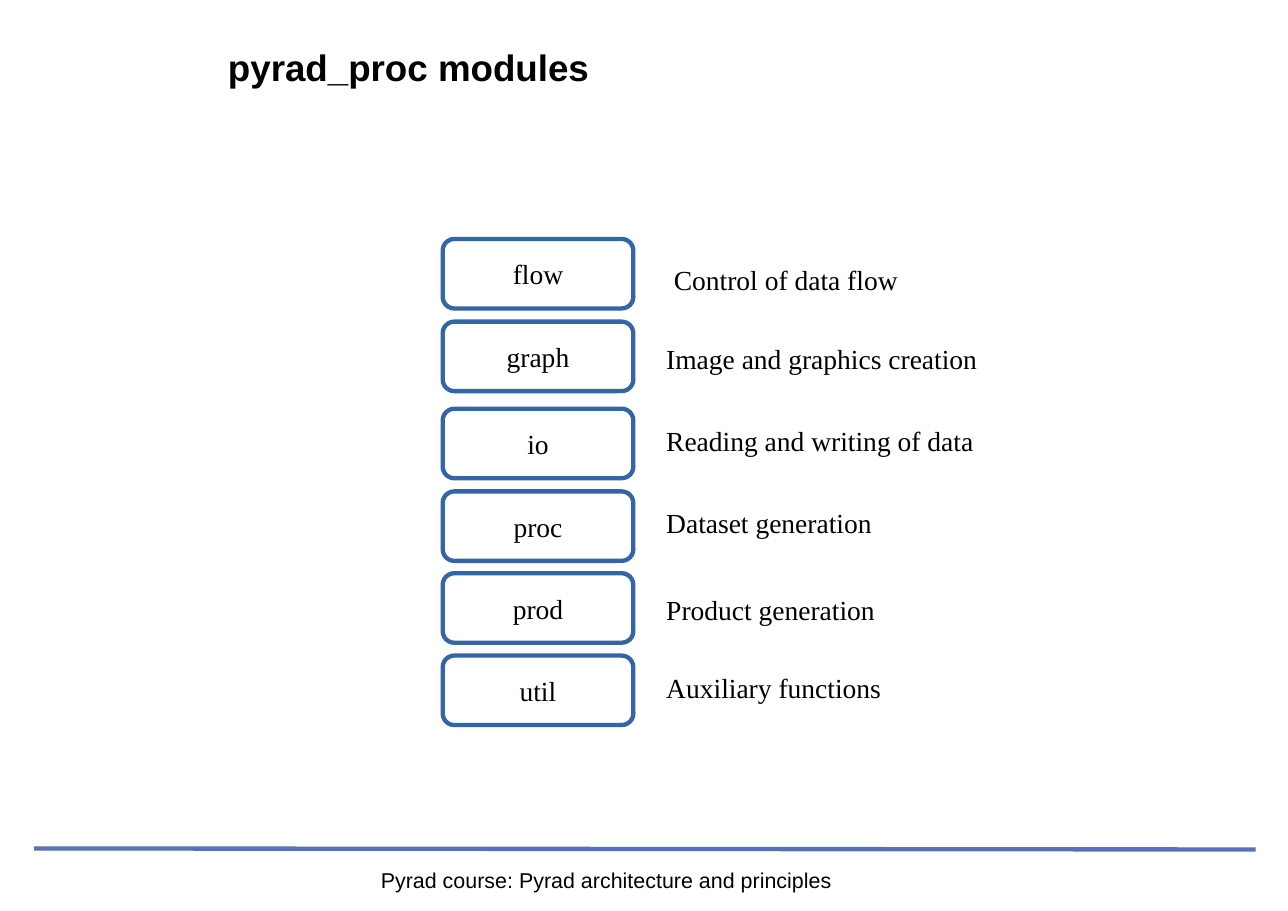
from typing import NamedTuple

from lxml.etree import SubElement
from pptx import Presentation
from pptx.dml.color import RGBColor
from pptx.enum.shapes import MSO_CONNECTOR as Connector, MSO_SHAPE as Preset
from pptx.enum.text import MSO_ANCHOR as Anchor, MSO_AUTO_SIZE as AutoSize, PP_ALIGN as Align
from pptx.oxml.ns import qn
from pptx.slide import Slide
from pptx.text.text import TextFrame
from pptx.util import Pt

COLOURS = {"text": "000000", "paper": "FFFFFF", "border": "3465A4", "rule": "5770B6"}
SERIF, SANS = "Times New Roman", "Arial"
BOX_LEFT, BOX_WIDTH, BOX_HEIGHT = 289.4, 124.6, 45.4
LABEL_HEIGHT, LINE_WIDTH = 27.4, 2.83


class Module(NamedTuple):
    """A module box and the description beside it, in points."""
    name: str
    top: float
    description: str
    label_left: float
    label_top: float
    label_width: float


MODULES = [
    Module("flow", 156.2, "Control of data flow", 433.4, 168.5, 161.3),
    Module("graph", 210.2, "Image and graphics creation", 428.4, 219.6, 218.2),
    Module("io", 267.1, "Reading and writing of data", 428.4, 273.6, 216),
    Module("proc", 321.1, "Dataset generation", 428.4, 326.9, 149),
    Module("prod", 374.6, "Product generation", 428.4, 383.8, 151.2),
    Module("util", 428.4, "Auxiliary functions", 428.4, 434.9, 154.8),
]


def colour(name: str) -> RGBColor:
    """Look up a named colour."""
    return RGBColor.from_string(COLOURS[name])


def write(frame: TextFrame, text: str, font: str, size: float, align: Align,
          bold: bool = False) -> None:
    """Fill a text frame with one formatted paragraph."""
    frame.text = text
    para = frame.paragraphs[0]
    para.alignment = align
    for span in para.runs:
        span.font.name, span.font.size, span.font.bold = font, Pt(size), bold
        span.font.color.rgb = colour("text")


def clear_margins(frame: TextFrame) -> None:
    """Remove the inner margins of a text frame."""
    frame.margin_left = frame.margin_right = frame.margin_top = frame.margin_bottom = 0


def draw_rule(page: Slide) -> None:
    """Draw the line above the footer."""
    rule = page.shapes.add_connector(
        Connector.STRAIGHT, Pt(22.3), Pt(554.4), Pt(820.8), Pt(555.1))
    rule.line.color.rgb = colour("rule")
    rule.line.width = Pt(LINE_WIDTH)
    SubElement(rule._element.spPr, qn("a:effectLst"))


def draw_title(page: Slide) -> None:
    """Place and format the title."""
    title = page.shapes.title
    title.left, title.top, title.width, title.height = Pt(149), Pt(19.4), Pt(665.3), Pt(48.2)
    title.fill.solid()
    title.fill.fore_color.rgb = colour("paper")
    frame = title.text_frame
    clear_margins(frame)
    frame.vertical_anchor = Anchor.MIDDLE
    write(frame, "pyrad_proc modules", SANS, 24, Align.LEFT, bold=True)


def draw_module(page: Slide, module: Module) -> None:
    """Draw a module box and its description."""
    box = page.shapes.add_shape(Preset.ROUNDED_RECTANGLE, Pt(BOX_LEFT), Pt(module.top),
                                Pt(BOX_WIDTH), Pt(BOX_HEIGHT))
    box.shadow.inherit = False
    box.fill.solid()
    box.fill.fore_color.rgb = colour("paper")
    box.line.color.rgb = colour("border")
    box.line.width = Pt(LINE_WIDTH)
    box.text_frame.word_wrap = False
    box.text_frame.vertical_anchor = Anchor.MIDDLE
    write(box.text_frame, module.name, SERIF, 18, Align.CENTER)

    label = page.shapes.add_textbox(Pt(module.label_left), Pt(module.label_top),
                                    Pt(module.label_width), Pt(LABEL_HEIGHT))
    label.text_frame.word_wrap = False
    label.text_frame.auto_size = AutoSize.SHAPE_TO_FIT_TEXT
    write(label.text_frame, module.description, SERIF, 18, Align.LEFT)


def draw_footer(page: Slide) -> None:
    """Write the course name at the bottom."""
    footer = page.shapes.add_textbox(Pt(107.3), Pt(566.6), Pt(578.2), Pt(28.1))
    footer.text_frame.word_wrap = True
    clear_margins(footer.text_frame)
    write(footer.text_frame, "Pyrad course: Pyrad architecture and principles",
          SANS, 14, Align.CENTER)


def main() -> None:
    """Build and save the slide."""
    deck = Presentation()
    deck.slide_width, deck.slide_height = Pt(841.89), Pt(595.28)
    page = deck.slides.add_slide(deck.slide_layouts.get_by_name("Title Only"))
    draw_rule(page)
    draw_title(page)
    for module in MODULES:
        draw_module(page, module)
    draw_footer(page)
    deck.save("out.pptx")


if __name__ == "__main__":
    main()
